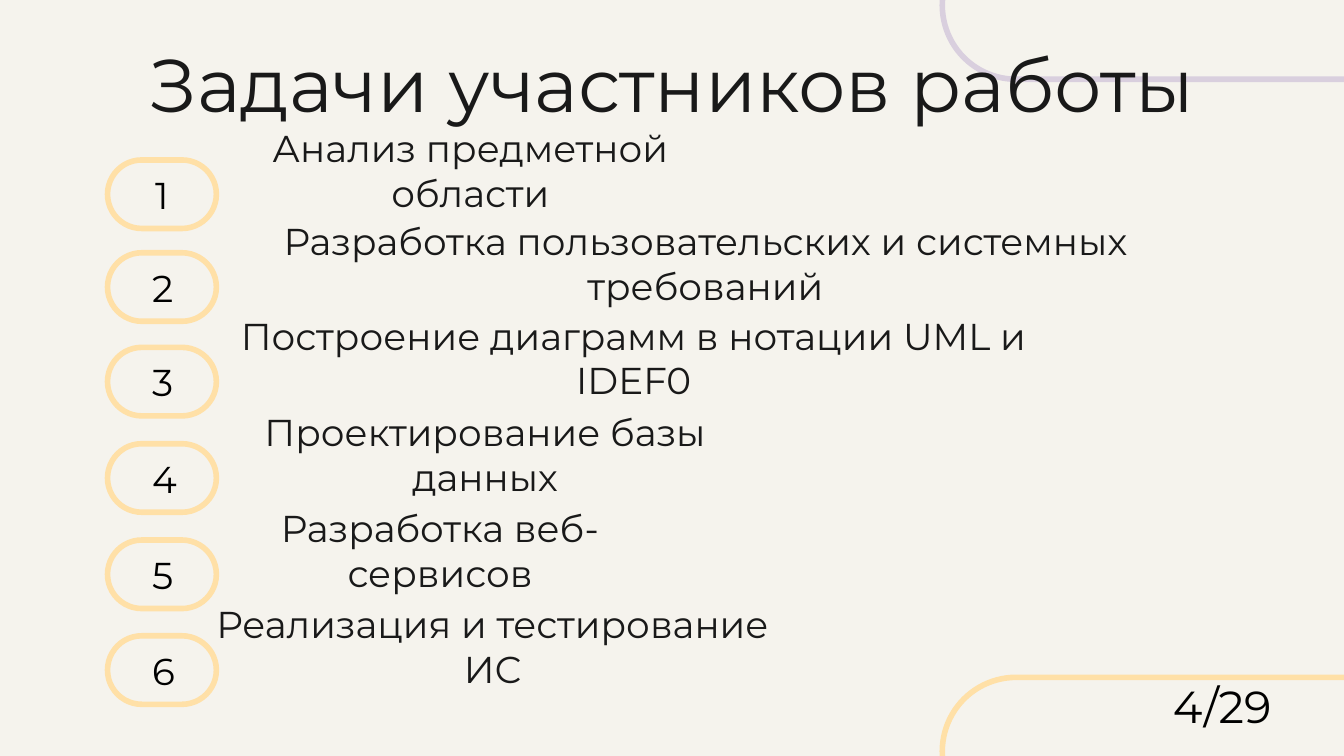
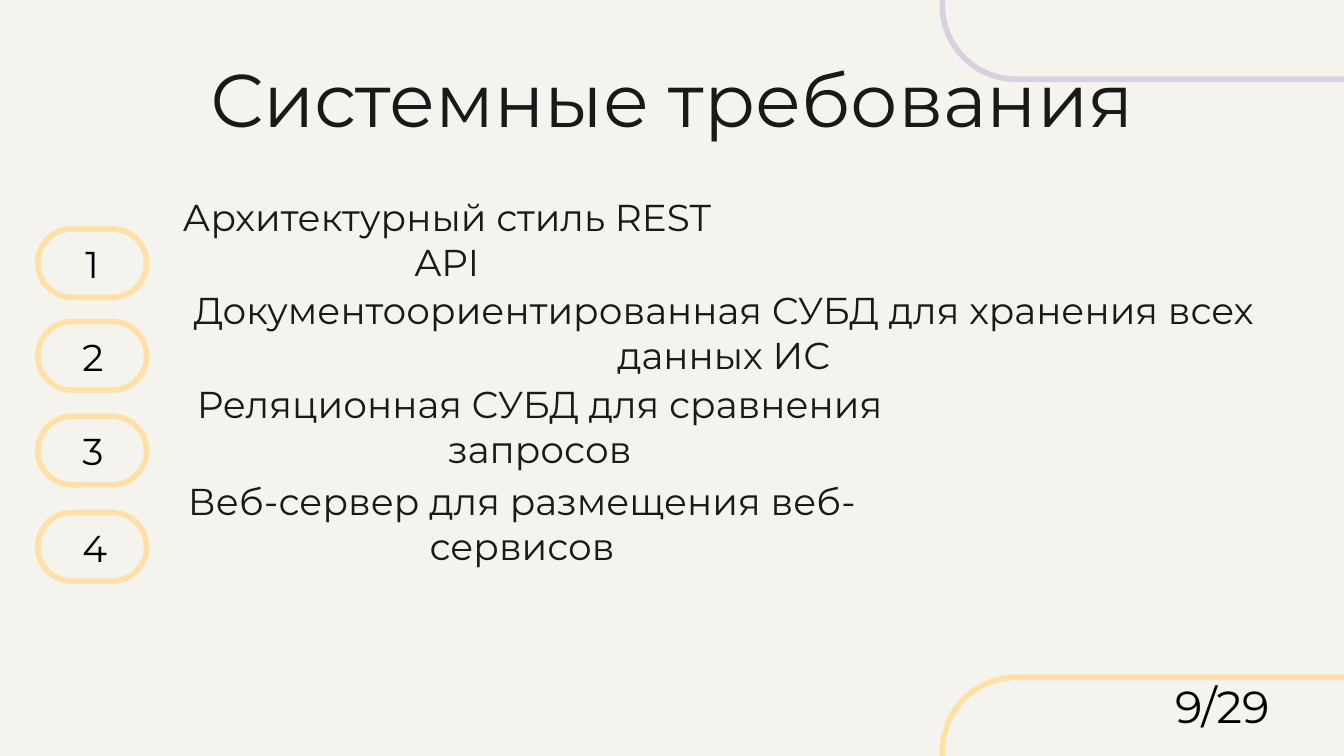
from pptx import Presentation
from pptx.dml.color import RGBColor
from pptx.enum.shapes import MSO_SHAPE
from pptx.enum.text import MSO_ANCHOR, PP_ALIGN
from pptx.util import Pt

PAPER = RGBColor(0xF5, 0xF3, 0xED)
LILAC = RGBColor(0xD9, 0xCF, 0xDE)
SAND = RGBColor(0xFF, 0xE0, 0xA7)
INK = RGBColor(0x19, 0x19, 0x19)
BLACK = RGBColor(0, 0, 0)
FONT = "Montserrat"
WIDTH, HEIGHT = 720, 405
PILL = (58.3, 36.7)
STEPS = (0, 49.7, 100.4, 152, 203.6, 254.9)

TASKS = [
    ("Анализ предметной области", 50.4, 288, 31.7),
    ("Разработка пользовательских и системных требований", 50.4, 540, 34.6),
    ("Построение диаграмм в нотации UML и IDEF0", 50.4, 463, 35.3),
    ("Проектирование базы данных", 50.4, 303.8, 30.2),
    ("Разработка веб-сервисов", 50.4, 255.6, 33.1),
    ("Реализация и тестирование ИС", 50.4, 311.8, 32.4),
]
NEEDS = [
    ("Архитектурный стиль REST API", 57.6, 323.3, 33.8),
    ("Документоориентированная СУБД для хранения всех данных ИС", 49.7, 635.8, 36.7),
    ("Реляционная СУБД для сравнения запросов", 49.7, 438.5, 33.8),
    ("Веб-сервер для размещения веб-сервисов", 50.4, 418.3, 31),
]


def add_text(slide, box, text, size, color, anchor=MSO_ANCHOR.TOP):
    frame = slide.shapes.add_textbox(*map(Pt, box)).text_frame
    frame.word_wrap = True
    frame.vertical_anchor = anchor
    frame.margin_left = frame.margin_right = Pt(7.2)
    frame.margin_top = frame.margin_bottom = Pt(7.2)
    par = frame.paragraphs[0]
    par.text = text
    par.alignment = PP_ALIGN.CENTER
    par.font.name = FONT
    par.font.size = Pt(size)
    par.font.color.rgb = color


def add_pill(slide, box, color):
    pill = slide.shapes.add_shape(MSO_SHAPE.ROUNDED_RECTANGLE, *map(Pt, box))
    pill.adjustments[0] = 0.5
    pill.shadow.inherit = False
    pill.fill.background()
    pill.line.color.rgb = color
    pill.line.width = Pt(3)


def add_frame(slide):
    slide.background.fill.solid()
    slide.background.fill.fore_color.rgb = PAPER
    add_pill(slide, (504.8, -36.7, 317.5, 79.2), LILAC)
    add_pill(slide, (504.8, 362.9, 317.5, 79.2), SAND)


def add_list(slide, left, top, items):
    wide, high = PILL
    for num, (step, item) in enumerate(zip(STEPS, items), 1):
        label, shift, width, height = item
        y = top + step
        add_pill(slide, (left, y, wide, high), SAND)
        add_text(slide, (left + 16.9, y - 0.7, 24.5, high), str(num), 20, BLACK)
        box = (left + shift, y + high - height, width, height)
        add_text(slide, box, label, 20, INK, MSO_ANCHOR.BOTTOM)


def add_page(deck, title, head, start, items, page):
    slide = deck.slides.add_slide(deck.slide_layouts[6])
    add_frame(slide)
    top, height = head
    add_text(slide, (0, top, WIDTH, height), title, 40, INK)
    add_list(slide, *start, items)
    add_text(slide, (612.7, 356.4, 84.2, 36.7), page, 24, BLACK)


def main():
    deck = Presentation()
    deck.slide_width = Pt(WIDTH)
    deck.slide_height = Pt(HEIGHT)
    add_page(deck, "Задачи участников работы", (13, 61.2), (57.6, 85.7), TASKS, "4/29")
    add_page(deck, "Системные требования", (20.9, 56.9), (20.2, 122.6), NEEDS, "9/29")
    deck.save("out.pptx")


if __name__ == "__main__":
    main()
